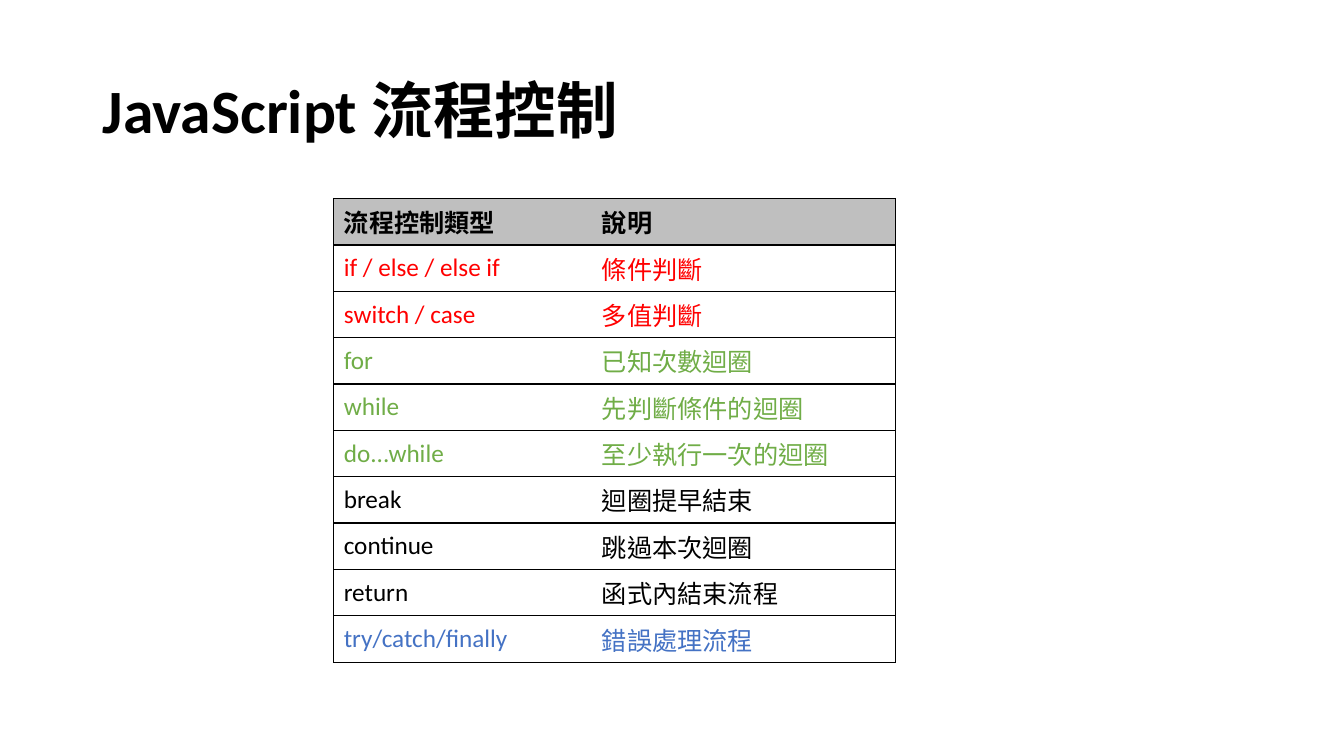
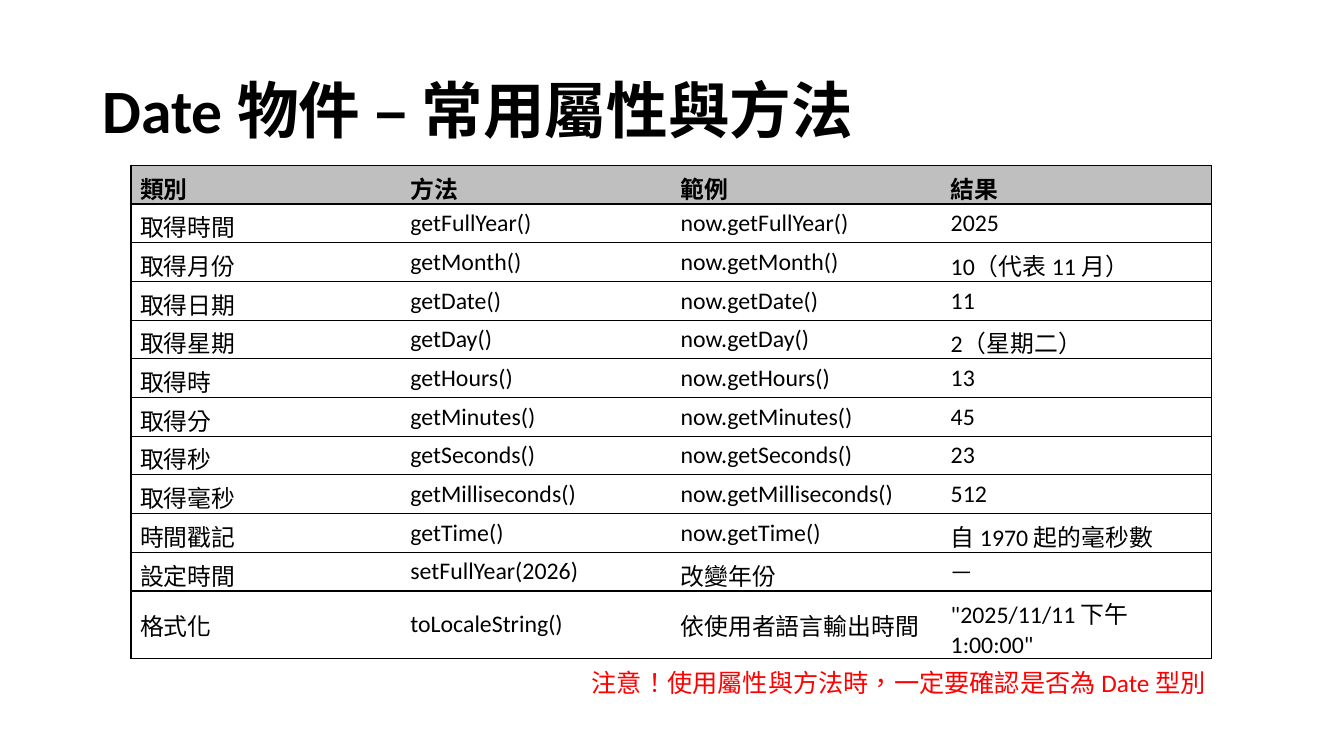
from lxml.etree import SubElement
from pptx import Presentation
from pptx.dml.color import RGBColor
from pptx.enum.lang import MSO_LANGUAGE_ID
from pptx.enum.text import MSO_ANCHOR
from pptx.oxml.ns import qn
from pptx.util import Inches, Pt

FLOW = {
    "title": "JavaScript 流程控制",
    "rows": [
        ("流程控制類型", "說明"),
        ("if / else / else if", "條件判斷"),
        ("switch / case", "多值判斷"),
        ("for", "已知次數迴圈"),
        ("while", "先判斷條件的迴圈"),
        ("do...while", "至少執行一次的迴圈"),
        ("break", "迴圈提早結束"),
        ("continue", "跳過本次迴圈"),
        ("return", "函式內結束流程"),
        ("try/catch/finally", "錯誤處理流程"),
    ],
    "row_colors": ["ink"] + ["red"] * 2 + ["green"] * 3 + ["ink"] * 3 + ["blue"],
    "corner": (3.31, 1.97),
    "widths": [2.56, 3.01],
    "heights": [0.46] * 10,
    "size": "table",
    "side_inset": 0.1,
}

GETTERS = [
    ("取得時間", "getFullYear()", "2025"),
    ("取得月份", "getMonth()", "10（代表 11 月）"),
    ("取得日期", "getDate()", "11"),
    ("取得星期", "getDay()", "2（星期二）"),
    ("取得時", "getHours()", "13"),
    ("取得分", "getMinutes()", "45"),
    ("取得秒", "getSeconds()", "23"),
    ("取得毫秒", "getMilliseconds()", "512"),
    ("時間戳記", "getTime()", "自 1970 起的毫秒數"),
]

DATE = {
    "title": "Date 物件 – 常用屬性與方法",
    "rows": [
        ("類別", "方法", "範例", "結果"),
        *[(kind, method, f"now.{method}", result) for kind, method, result in GETTERS],
        ("設定時間", "setFullYear(2026)", "改變年份", "—"),
        ("格式化", "toLocaleString()", "依使用者語言輸出時間", '"2025/11/11 下午1:00:00"'),
    ],
    "row_colors": ["ink"] * 12,
    "corner": (1.3, 1.64),
    "widths": [2.68] * 4,
    "heights": [0.377] * 11 + [0.65],
    "size": "dense",
    "side_inset": 0.09,
    "note": "注意！使用屬性與方法時，一定要確認是否為 Date 型別",
}

THEME = {
    "font": "Calibri",
    "colors": {"ink": "000000", "red": "FF0000", "green": "70AD47",
               "blue": "4472C4", "header": "BFBFBF", "paper": "FFFFFF"},
    "sizes": {"title": 44, "table": 18, "dense": 17, "note": 18},
    "border": 1,
}
TITLE_BOX = (0.92, 0.4, 11.5, 1.45)
NOTE_BOX = (5.77, 6.57, 6.35, 0.4)


def color(name):
    return RGBColor.from_string(THEME["colors"][name])


def write(frame, text, size, ink="ink", bold=False):
    paragraph = frame.paragraphs[0]
    run = paragraph.add_run()
    run.text = text
    formats = {"name": THEME["font"], "size": Pt(THEME["sizes"][size]), "bold": bold,
               "language_id": MSO_LANGUAGE_ID.TRADITIONAL_CHINESE}
    for key, value in formats.items():
        setattr(run.font, key, value)
    run.font.color.rgb = color(ink)
    return paragraph


def add_text(slide, box, text, size, anchor=MSO_ANCHOR.TOP, **style):
    frame = slide.shapes.add_textbox(*map(Inches, box)).text_frame
    frame.word_wrap = True
    frame.vertical_anchor = anchor
    return write(frame, text, size, **style)


def set_borders(cell, visible):
    properties = cell._tc.get_or_add_tcPr()
    for index, side in enumerate("LRTB"):
        line = SubElement(properties, qn(f"a:ln{side}"))
        properties.insert(index, line)
        if side in visible:
            line.set("w", str(Pt(THEME["border"])))
            fill = SubElement(line, qn("a:solidFill"))
            SubElement(fill, qn("a:srgbClr")).set("val", THEME["colors"]["ink"])
        else:
            line.set("w", "0")
            SubElement(line, qn("a:noFill"))


def add_grid(slide, content):
    rows, widths, heights = content["rows"], content["widths"], content["heights"]
    box = (*content["corner"], sum(widths), sum(heights))
    grid = slide.shapes.add_table(len(rows), len(widths), *map(Inches, box)).table
    grid.first_row = grid.horz_banding = False
    for column, width in zip(grid.columns, widths):
        column.width = Inches(width)
    side = Inches(content["side_inset"])
    cell_format = {"vertical_anchor": MSO_ANCHOR.MIDDLE, "margin_left": side,
                   "margin_right": side, "margin_top": Inches(0.05),
                   "margin_bottom": Inches(0.05)}
    for r, (values, ink) in enumerate(zip(rows, content["row_colors"])):
        grid.rows[r].height = Inches(heights[r])
        for c, value in enumerate(values):
            cell = grid.cell(r, c)
            for key, setting in cell_format.items():
                setattr(cell, key, setting)
            cell.fill.solid()
            cell.fill.fore_color.rgb = color("paper" if r else "header")
            outer = ("L" if c == 0 else "") + ("R" if c == len(widths) - 1 else "")
            set_borders(cell, "TB" + outer)
            write(cell.text_frame, value, content["size"], ink, bold=r == 0)


def add_slide(deck, content):
    slide = deck.slides.add_slide(deck.slide_layouts[6])
    title = add_text(slide, TITLE_BOX, content["title"], "title",
                     MSO_ANCHOR.MIDDLE, bold=True)
    title.line_spacing = 0.9
    if "note" in content:
        add_text(slide, NOTE_BOX, content["note"], "note", ink="red")
    add_grid(slide, content)


def main():
    deck = Presentation()
    deck.slide_width, deck.slide_height = Inches(13.33), Inches(7.5)
    for content in (FLOW, DATE):
        add_slide(deck, content)
    deck.save("out.pptx")


if __name__ == "__main__":
    main()
